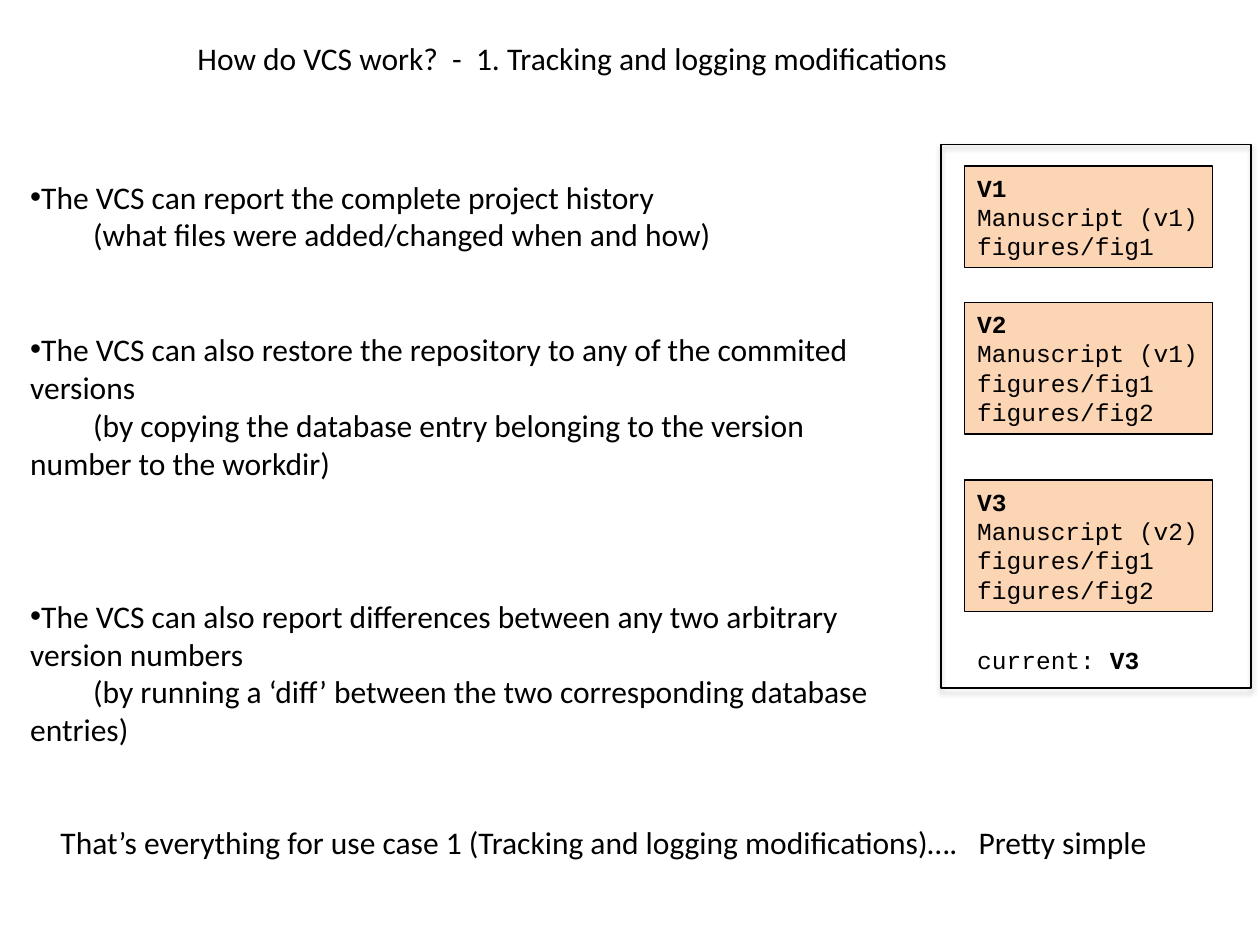
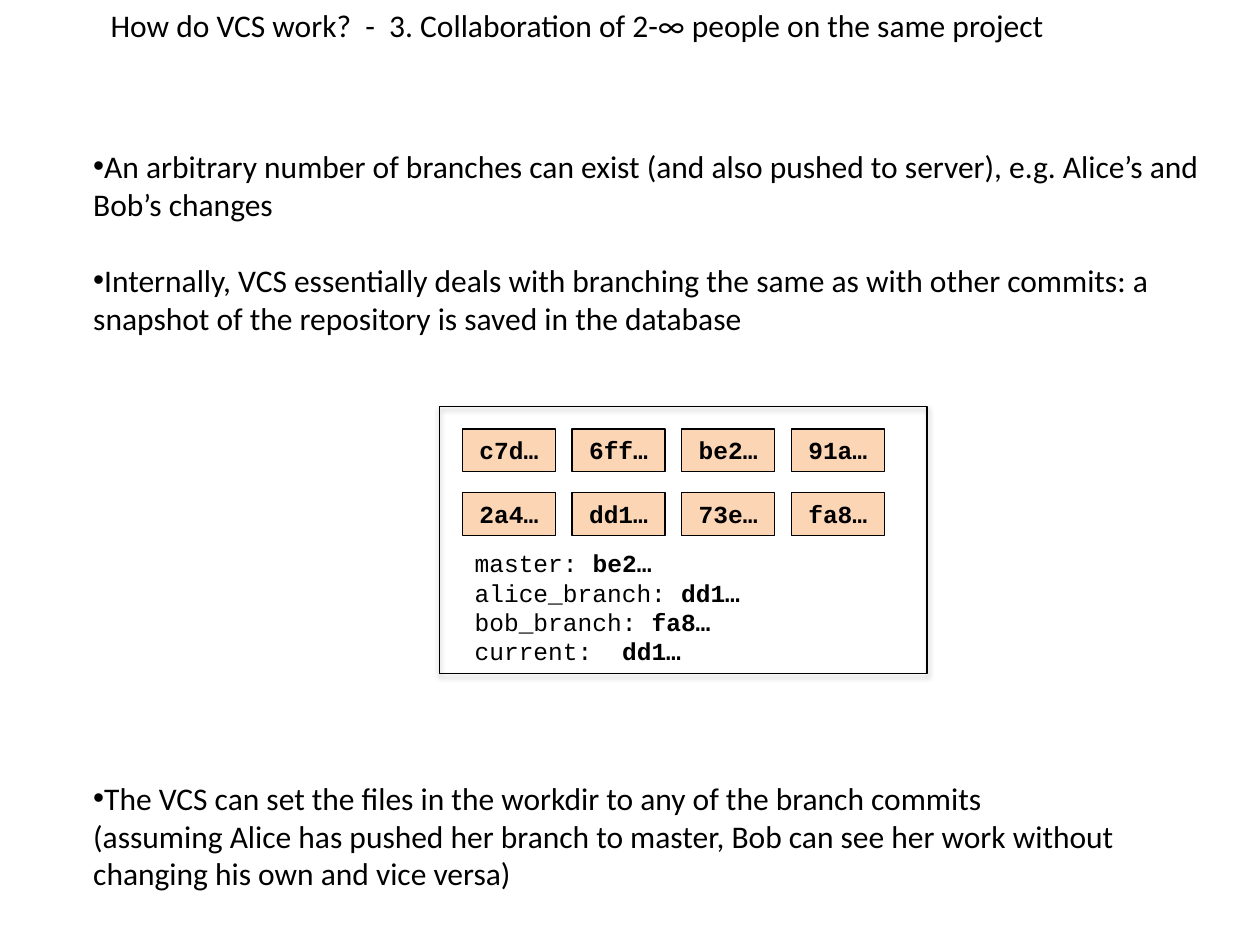
from dataclasses import dataclass
from lxml.etree import SubElement
from pptx import Presentation
from pptx.dml.color import RGBColor
from pptx.enum.shapes import MSO_SHAPE
from pptx.enum.text import MSO_ANCHOR, MSO_AUTO_SIZE, PP_ALIGN
from pptx.oxml.ns import qn
from pptx.util import Cm, Pt


@dataclass(frozen=True)
class Theme:
    ink: RGBColor = RGBColor(0, 0, 0)
    card: RGBColor = RGBColor(0xFC, 0xD5, 0xB5)
    sans: str = "Calibri"
    mono: str = "Courier New"
    text: int = 18
    code: int = 14
    line: float = 0.75
    row: int = 22


LOOK = Theme()


def add_run(para, text, font, size, bold=False):
    run = para.add_run()
    run.text = text
    run.font.name = font
    run.font.size = Pt(size)
    run.font.bold = bold
    run.font.color.rgb = LOOK.ink


def set_frame(shape):
    frame = shape.text_frame
    frame.word_wrap = True
    frame.auto_size = MSO_AUTO_SIZE.NONE
    frame.vertical_anchor = MSO_ANCHOR.TOP
    frame.margin_left = frame.margin_right = Cm(0.25)
    frame.margin_top = frame.margin_bottom = Cm(0.13)
    return frame


def next_para(frame, index):
    return frame.add_paragraph() if index else frame.paragraphs[0]


def add_page(deck, title, left, top, width):
    page = deck.slides.add_slide(deck.slide_layouts[5])
    head = page.shapes.title
    head.left, head.top = Cm(left), Cm(top)
    head.width, head.height = Cm(width), Cm(1.03)
    para = set_frame(head).paragraphs[0]
    para.alignment = PP_ALIGN.LEFT
    add_run(para, title, LOOK.sans, LOOK.text)
    return page


def add_box(shapes, left, top, width, height):
    box = shapes.add_textbox(Cm(left), Cm(top), Cm(width), Cm(height))
    return set_frame(box)


def set_bullet(para):
    props = para._p.get_or_add_pPr()
    for name, value in (("marL", "0"), ("indent", "0"), ("defTabSz", str(Cm(1.27)))):
        props.set(name, value)
    SubElement(props, qn("a:buFont")).set("typeface", "Arial")
    SubElement(props, qn("a:buChar")).set("char", "•")


def add_points(page, place, points):
    frame = add_box(page.shapes, *place)
    for index, (gap, lines) in enumerate(points):
        para = next_para(frame, index)
        set_bullet(para)
        para.space_before = Pt(gap * LOOK.row)
        for count, line in enumerate(lines):
            if count:
                para.add_line_break()
            add_run(para, line, LOOK.sans, LOOK.text)


def add_code(frame, lines, align=PP_ALIGN.LEFT):
    for index, parts in enumerate(lines):
        para = next_para(frame, index)
        para.alignment = align
        for text, bold in parts:
            add_run(para, text, LOOK.mono, LOOK.code, bold)


def add_rect(shapes, left, top, width, height):
    rect = shapes.add_shape(
        MSO_SHAPE.RECTANGLE, Cm(left), Cm(top), Cm(width), Cm(height))
    rect.shadow.inherit = False
    rect.fill.background()
    rect.line.color.rgb = LOOK.ink
    rect.line.width = Pt(LOOK.line)
    return rect


def add_store(page, *place):
    shapes = page.shapes.add_group_shape().shapes
    rect = add_rect(shapes, *place)
    effects = rect._element.spPr.find(qn("a:effectLst"))
    shade = SubElement(effects, qn("a:outerShdw"), blurRad=str(Pt(3.1)),
                       dist=str(Pt(1.8)), dir="5400000", rotWithShape="0")
    color = SubElement(shade, qn("a:srgbClr"), val=str(LOOK.ink))
    SubElement(color, qn("a:alpha"), val="35000")
    return shapes


def add_card(shapes, place, lines, align=PP_ALIGN.LEFT):
    card = add_rect(shapes, *place)
    card.fill.solid()
    card.fill.fore_color.rgb = LOOK.card
    add_code(set_frame(card), lines, align)


def add_log(deck):
    page = add_page(
        deck, "How do VCS work?  -  1. Tracking and logging modifications",
        3.73, 0.66, 17.37)
    add_points(page, (0.36, 3.45, 18.34, 11.79), [
        (0, ["The VCS can report the complete project history",
             "\t(what files were added/changed when and how)"]),
        (2, ["The VCS can also restore the repository to any of the commited versions",
             "\t(by copying the database entry belonging to the version \tnumber to the workdir)"]),
        (3, ["The VCS can also report differences between any two arbitrary version numbers",
             "\t(by running a ‘diff’ between the two corresponding database \tentries)"]),
    ])
    note = add_box(page.shapes, 0.97, 16.46, 22.43, 1.03)
    add_run(note.paragraphs[0],
            "That’s everything for use case 1 (Tracking and logging modifications)….   Pretty simple",
            LOOK.sans, LOOK.text)
    store = add_store(page, 18.97, 2.92, 6.25, 10.95)
    for name, top, height, files in (
        ("V1", 3.35, 2.05, ["Manuscript (v1)", "figures/fig1"]),
        ("V2", 6.1, 2.65, ["Manuscript (v1)", "figures/fig1", "figures/fig2"]),
        ("V3", 9.68, 2.65, ["Manuscript (v2)", "figures/fig1", "figures/fig2"]),
    ):
        lines = [[(name, True)]] + [[(file, False)] for file in files]
        add_card(store, (19.45, top, 5, height), lines)
    add_code(add_box(store, 19.45, 12.88, 4.3, 0.86),
             [[("current: ", False), ("V3", True)]])


def add_team(deck):
    page = add_page(
        deck, "How do VCS work?  -  3. Collaboration of 2-∞ people on the same project",
        1.98, 0, 22.45)
    add_points(page, (1.63, 2.83, 22.83, 4.1), [
        (0, ["An arbitrary number of branches can exist (and also pushed to server), "
             "e.g. Alice’s and Bob’s changes"]),
        (1, ["Internally, VCS essentially deals with branching the same as with other "
             "commits: a snapshot of the repository is saved in the database"]),
    ])
    add_points(page, (1.63, 15.57, 22.83, 2.57), [
        (0, ["The VCS can set the files in the workdir to any of the branch commits",
             "(assuming Alice has pushed her branch to master, Bob can see her work "
             "without changing his own and vice versa)"]),
    ])
    store = add_store(page, 8.86, 8.2, 9.83, 5.38)
    grid = (("c7d…", "6ff…", "be2…", "91a…"), ("2a4…", "dd1…", "73e…", "fa8…"))
    for row, names in enumerate(grid):
        for col, name in enumerate(names):
            place = (9.32 + 2.21 * col, 8.65 + 1.28 * row, 1.88, 0.86)
            add_card(store, place, [[(name, True)]], PP_ALIGN.CENTER)
    refs = (("master: ", "be2…"), ("alice_branch: ", "dd1…"),
            ("bob_branch: ", "fa8…"), ("current:  ", "dd1…"))
    add_code(add_box(store, 9.32, 10.92, 6.32, 2.64),
             [[(ref, False), (name, True)] for ref, name in refs])


def main():
    deck = Presentation()
    deck.slide_width, deck.slide_height = Cm(25.4), Cm(19.05)
    add_log(deck)
    add_team(deck)
    deck.save("out.pptx")


if __name__ == "__main__":
    main()
